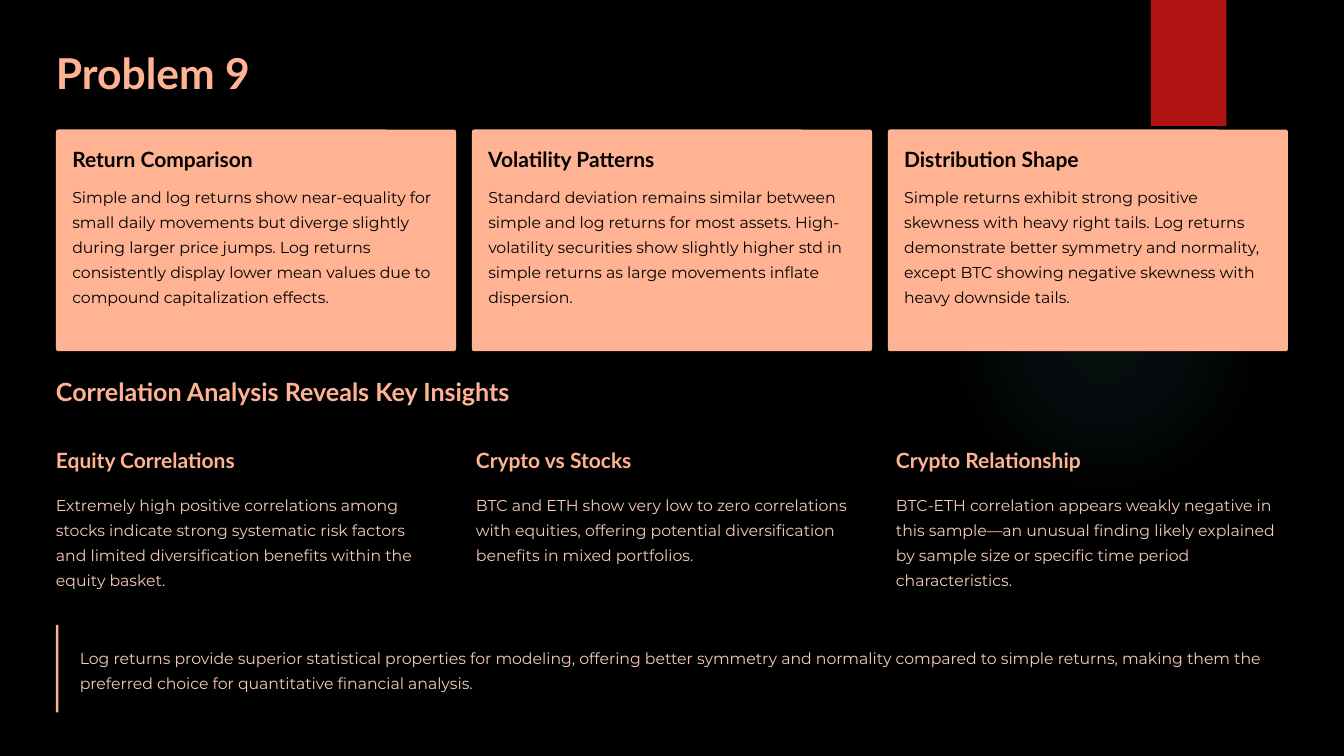
from dataclasses import dataclass

from lxml import etree
from pptx import Presentation
from pptx.dml.color import RGBColor
from pptx.enum.shapes import MSO_SHAPE
from pptx.enum.text import MSO_ANCHOR, MSO_AUTO_SIZE, PP_ALIGN
from pptx.oxml.ns import qn
from pptx.util import Pt

RECT, ROUND, OVAL = MSO_SHAPE.RECTANGLE, MSO_SHAPE.ROUNDED_RECTANGLE, MSO_SHAPE.OVAL
TOP, LEFT, NO_FIT = MSO_ANCHOR.TOP, PP_ALIGN.LEFT, MSO_AUTO_SIZE.NONE

BLACK = RGBColor(0x00, 0x00, 0x00)
PEACH = RGBColor(0xFF, 0xB3, 0x93)
PALE = RGBColor(0xF4, 0xCA, 0xB8)
RED = RGBColor(0xB0, 0x15, 0x13)
TEAL = RGBColor(0x50, 0xB9, 0xC1)

HEAD_FONT, BODY_FONT = "Lato", "Montserrat"
MARGIN = 48
CARD_W, CARD_H, CARD_TOP, CARD_STEP = 343, 190, 111, 356.5
CARD_PAD = 14
COLUMN_STEP = 360
GLOW_STOPS = ((0, 7), (36, 6), (69, 0))


@dataclass
class Note:
    heading: str
    body: str
    width: float


CARDS = [
    Note("Return Comparison",
         "Simple and log returns show near-equality for small daily movements but diverge "
         "slightly during larger price jumps. Log returns consistently display lower mean "
         "values due to compound capitalization effects.", 315.4),
    Note("Volatility Patterns",
         "Standard deviation remains similar between simple and log returns for most assets. "
         "High-volatility securities show slightly higher std in simple returns as large "
         "movements inflate dispersion.", 315.4),
    Note("Distribution Shape",
         "Simple returns exhibit strong positive skewness with heavy right tails. Log returns "
         "demonstrate better symmetry and normality, except BTC showing negative skewness "
         "with heavy downside tails.", 315.4),
]
COLUMNS = [
    Note("Equity Correlations",
         "Extremely high positive correlations among stocks indicate strong systematic risk "
         "factors and limited diversification benefits within the equity basket.", 326),
    Note("Crypto vs Stocks",
         "BTC and ETH show very low to zero correlations with equities, offering potential "
         "diversification benefits in mixed portfolios.", 326),
    Note("Crypto Relationship",
         "BTC-ETH correlation appears weakly negative in this sample—an unusual finding likely "
         "explained by sample size or specific time period characteristics.", 337),
]
SUMMARY = ("Log returns provide superior statistical properties for modeling, offering better "
           "symmetry and normality compared to simple returns, making them the preferred "
           "choice for quantitative financial analysis.")


def add_text(s, text: str, x: float, y: float, w: float, h: float, *, size: float = 13.5,
             spacing: float = 21.5, color: RGBColor = PALE, font: str = BODY_FONT,
             bold: bool = False, wrap: bool = True, box=None) -> None:
    sp = box or s.shapes.add_textbox(0, 0, 0, 0)
    sp.left, sp.top, sp.width, sp.height = Pt(x), Pt(y), Pt(w), Pt(h)
    tf = sp.text_frame
    tf.margin_left = tf.margin_right = tf.margin_top = tf.margin_bottom = 0
    tf.auto_size, tf.word_wrap, tf.vertical_anchor = NO_FIT, wrap, TOP
    p = tf.paragraphs[0]
    p.alignment, p.line_spacing, p.space_before = LEFT, Pt(spacing), Pt(0)
    r = p.add_run()
    r.text = text
    r.font.name, r.font.size, r.font.bold = font, Pt(size), bold
    r.font.color.rgb = color


def add_heading(s, text: str, x: float, y: float, color: RGBColor) -> None:
    add_text(s, text, x, y, 183, 23, size=18, spacing=22.5, color=color,
             font=HEAD_FONT, bold=True, wrap=False)


def add_block(s, kind, x: float, y: float, w: float, h: float, color: RGBColor):
    sp = s.shapes.add_shape(kind, Pt(x), Pt(y), Pt(w), Pt(h))
    sp.shadow.inherit = False
    sp.fill.solid()
    sp.fill.fore_color.rgb = color
    sp.line.fill.background()
    return sp


def add_glow(s) -> None:
    sp = add_block(s, OVAL, 813.6, 158.4, 266.4, 266.4, TEAL)
    grad = etree.Element(qn("a:gradFill"), rotWithShape="1")
    stops = etree.SubElement(grad, qn("a:gsLst"))
    for position, opacity in GLOW_STOPS:
        gs = etree.SubElement(stops, qn("a:gs"), pos=str(position * 1000))
        clr = etree.SubElement(gs, qn("a:srgbClr"), val=str(TEAL))
        etree.SubElement(clr, qn("a:alpha"), val=str(opacity * 1000))
    path = etree.SubElement(grad, qn("a:path"), path="circle")
    etree.SubElement(path, qn("a:fillToRect"), l="50000", t="50000", r="50000", b="50000")
    solid = sp.fill._xPr.find(qn("a:solidFill"))
    solid.getparent().replace(solid, grad)


def main() -> None:
    prs = Presentation()
    prs.slide_width, prs.slide_height = Pt(1152), Pt(648)
    s = prs.slides.add_slide(prs.slide_layouts[5])
    s.background.fill.solid()
    s.background.fill.fore_color.rgb = BLACK

    add_glow(s)
    add_block(s, RECT, 986.4, 0, 64.8, 108, RED)
    add_text(s, "Problem 9", MARGIN, 38.2, 366, 45.5, size=36.5, spacing=45.5, color=PEACH,
             font=HEAD_FONT, bold=True, wrap=False, box=s.shapes.title)

    for i, card in enumerate(CARDS):
        x = MARGIN + i * CARD_STEP
        sp = add_block(s, ROUND, x, CARD_TOP, CARD_W, CARD_H, PEACH)
        sp.adjustments[0] = 0.011
        add_heading(s, card.heading, x + CARD_PAD, 124.6, BLACK)
        add_text(s, card.body, x + CARD_PAD, 155.5, card.width, 132, color=BLACK)

    add_text(s, "Correlation Analysis Reveals Key Insights", MARGIN, 321.8, 433.4, 27.4,
             size=21.5, spacing=27, color=PEACH, font=HEAD_FONT, bold=True, wrap=False)

    for i, column in enumerate(COLUMNS):
        x = MARGIN + i * COLUMN_STEP
        add_heading(s, column.heading, x, 383, PEACH)
        add_text(s, column.body, x, 419.8, column.width, 88)

    add_text(s, SUMMARY, 68.4, 550.8, 1035.4, 44)
    add_block(s, RECT, MARGIN, 535.7, 2, 74.9, PEACH)
    prs.save("out.pptx")


if __name__ == "__main__":
    main()
